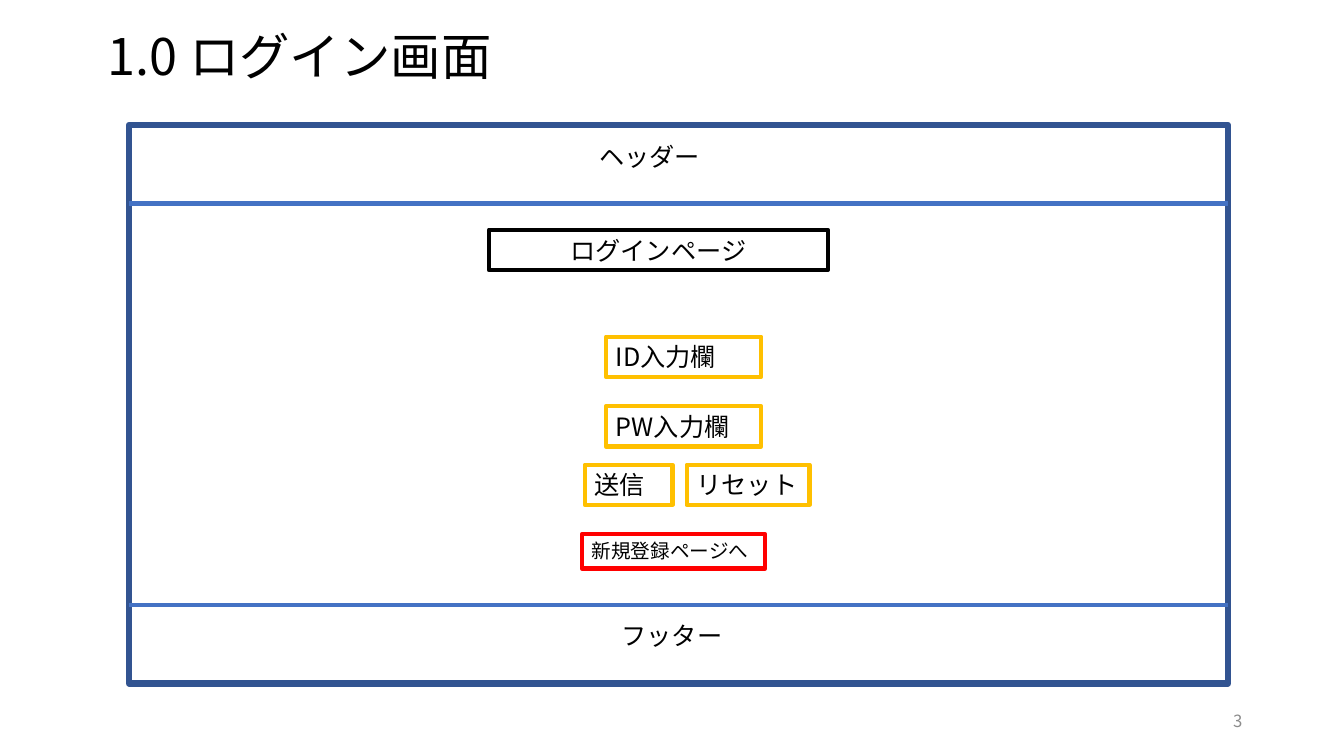
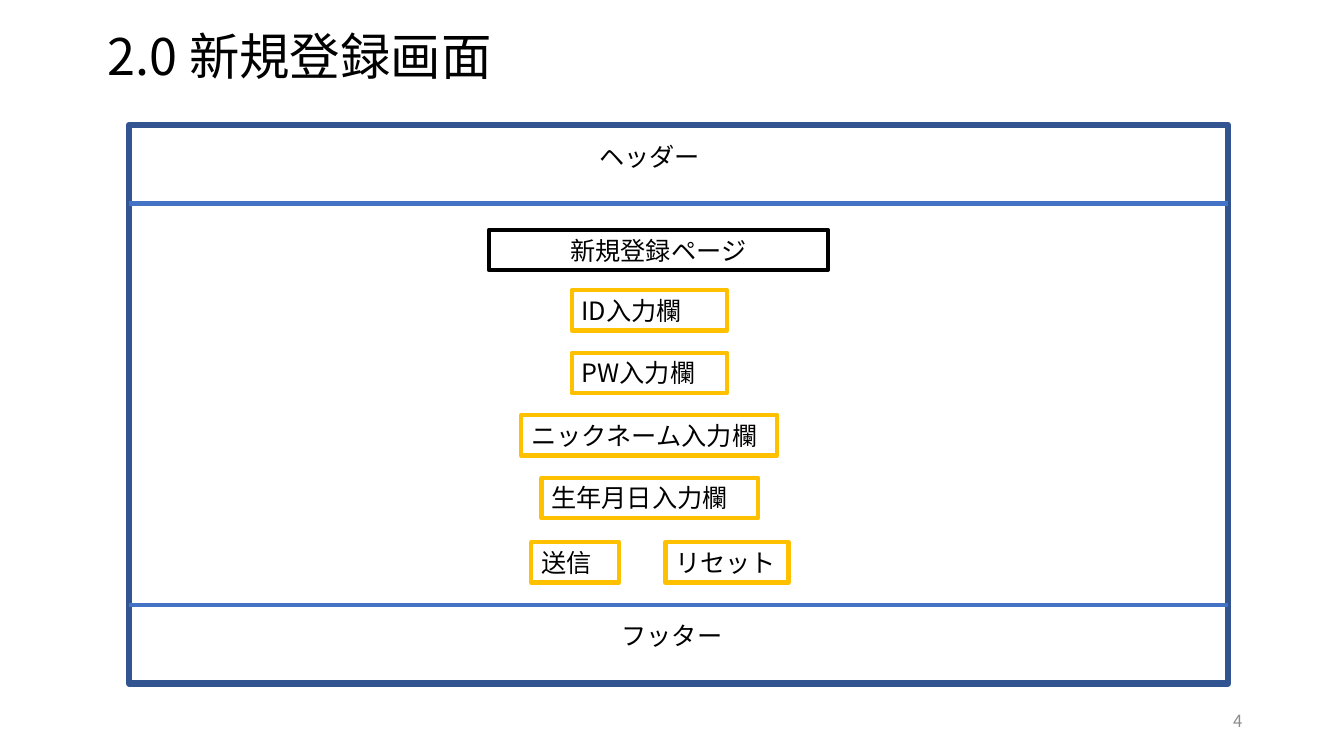
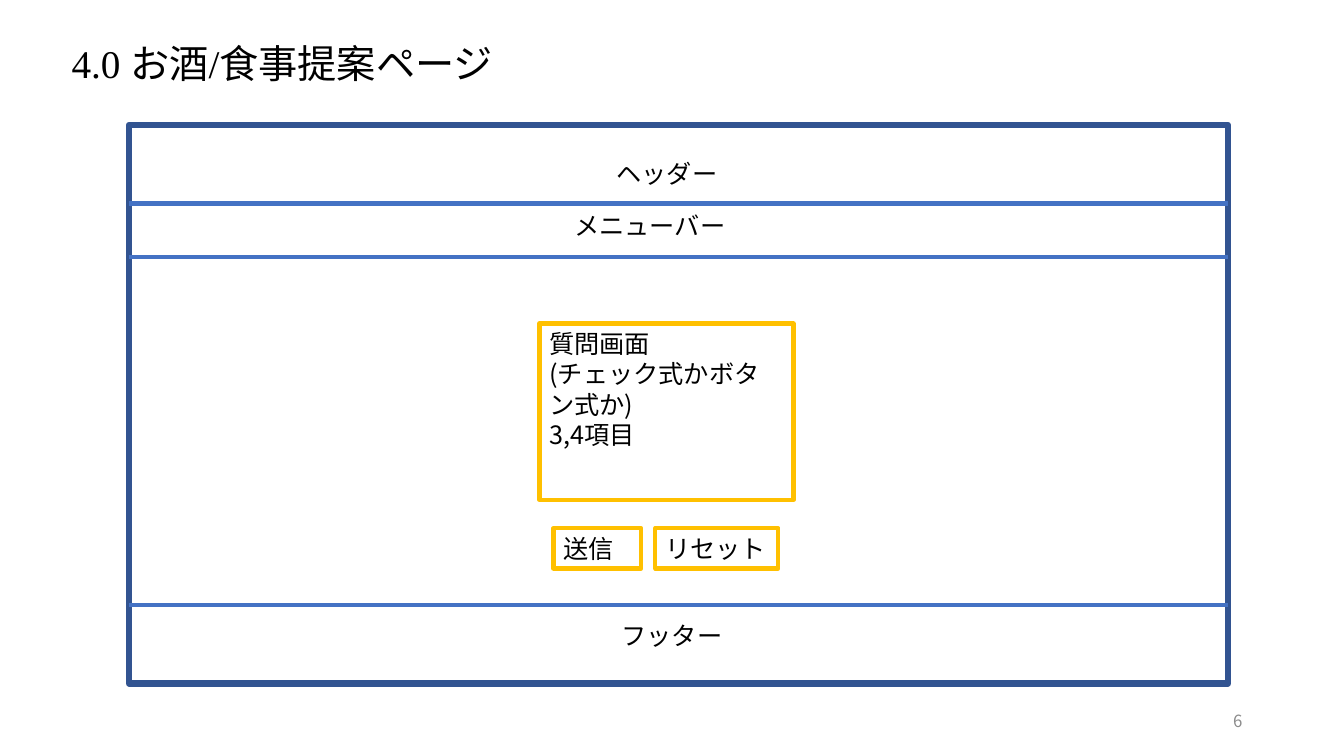
from dataclasses import dataclass

from lxml.etree import SubElement
from pptx import Presentation
from pptx.dml.color import RGBColor
from pptx.enum.shapes import MSO_CONNECTOR as Connector, MSO_SHAPE as Preset
from pptx.enum.text import MSO_ANCHOR as Anchor, PP_ALIGN as Align
from pptx.oxml.ns import qn
from pptx.util import Inches, Pt

CELL = 0.1  # inches per grid column and row


@dataclass(frozen=True)
class Theme:
    """Colours, fonts, type sizes and line widths of the deck."""
    frame: str = "325491"
    rule: str = "4472C4"
    field: str = "FFC000"
    link: str = "FF0000"
    ink: str = "000000"
    muted: str = "8C8C8C"
    font: str = "Noto Sans CJK JP"
    serif: str = "Times New Roman"
    title_size: int = 36
    small_title_size: int = 28
    body_size: int = 18
    link_size: int = 14
    number_size: int = 12
    frame_width: float = 4.5
    line_width: float = 3


THEME = Theme()


@dataclass(frozen=True)
class Box:
    """A region in grid columns and rows."""
    col: float
    row: float
    cols: float
    rows: float

    def inner(self, col, row, cols, rows):
        """Return a region placed relative to this one."""
        return Box(self.col + col, self.row + row, cols, rows)

    def lengths(self):
        """Return left, top, width and height as slide lengths."""
        return [Inches(round(cells * CELL, 2))
                for cells in (self.col, self.row, self.cols, self.rows)]


PAGE = Box(0, 0, 133.33, 75)
SCREEN = PAGE.inner(12.8, 12.4, 109, 55.4)
FIELD_ROWS = 4
HEADER_RULE, MENU_RULE, FOOTER_RULE = 7.8, 13.1, 47.6


def write(frame, text, size=THEME.body_size, color=THEME.ink, font=THEME.font,
          align=Align.LEFT, anchor=Anchor.TOP, spacing=None):
    """Fill a text frame, one paragraph per line of text."""
    frame.word_wrap = True
    frame.vertical_anchor = anchor
    frame.text = text
    for paragraph in frame.paragraphs:
        paragraph.alignment = align
        paragraph.line_spacing = spacing
        for run in paragraph.runs:
            run.font.size = Pt(size)
            run.font.name = font
            run.font.color.rgb = RGBColor.from_string(color)
            east_asian = SubElement(run.font._element, qn("a:ea"))
            east_asian.set("typeface", THEME.font)


def label(slide, box, text, **style):
    """Add an unframed text."""
    write(slide.shapes.add_textbox(*box.lengths()).text_frame, text, **style)


def outline(slide, box, color, width=THEME.line_width, text="", **style):
    """Add an unfilled rectangle with optional text."""
    rectangle = slide.shapes.add_shape(Preset.RECTANGLE, *box.lengths())
    rectangle.shadow.inherit = False
    rectangle.fill.background()
    rectangle.line.color.rgb = RGBColor.from_string(color)
    rectangle.line.width = Pt(width)
    if text:
        write(rectangle.text_frame, text, **style)


def rule(slide, box, row):
    """Draw a line across the box at the given row."""
    left, top, width, _ = box.inner(0, row, box.cols, 0).lengths()
    line = slide.shapes.add_connector(Connector.STRAIGHT, left, top, left + width, top)
    line.line.color.rgb = RGBColor.from_string(THEME.rule)
    line.line.width = Pt(THEME.line_width)
    SubElement(line._element.spPr, qn("a:effectLst"))


def band_label(slide, box, col, row, text):
    """Name one band of the screen."""
    label(slide, box.inner(col, row, 41.7, FIELD_ROWS), text, align=Align.CENTER)


def screen_slide(deck, box, title, number, title_box=PAGE.inner(9.7, 2.7, 48.2, 10.1),
                 header_at=(30.8, 1.1), **title_style):
    """Add a slide with title, page number and the shared screen frame."""
    slide = deck.slides.add_slide(deck.slide_layouts[5])
    heading = slide.shapes.title
    heading.left, heading.top, heading.width, heading.height = title_box.lengths()
    write(heading.text_frame, title, spacing=0.9,
          **{"size": THEME.title_size, **title_style})
    outline(slide, box, THEME.frame, THEME.frame_width)
    for row in (HEADER_RULE, FOOTER_RULE):
        rule(slide, box, row)
    band_label(slide, box, *header_at, "ヘッダー")
    band_label(slide, box, 33, 48.6, "フッター")
    label(slide, PAGE.inner(94.2, 69.5, 30, 4), str(number), size=THEME.number_size,
          color=THEME.muted, align=Align.RIGHT, anchor=Anchor.MIDDLE)
    return slide


def page_name(slide, box, text):
    """Add the framed name of the page below the header."""
    outline(slide, box.inner(35.7, 10.4, 33.6, FIELD_ROWS), THEME.ink, text=text,
            align=Align.CENTER, anchor=Anchor.MIDDLE)


def input_fields(slide, box, center, top, step, fields):
    """Stack input fields around a centre column at an equal step."""
    for index, (text, cols) in enumerate(fields):
        place = box.inner(center - cols / 2, top + index * step, cols, FIELD_ROWS)
        outline(slide, place, THEME.field, text=text)


def form_buttons(slide, box, col, row, gap=1.4):
    """Add the submit and reset buttons side by side."""
    for text, cols in (("送信", 8.7), ("リセット", 12.2)):
        outline(slide, box.inner(col, row, cols, FIELD_ROWS), THEME.field, text=text)
        col += cols + gap


def login_slide(deck, box):
    """Build the login screen."""
    slide = screen_slide(deck, box, "1.0 ログイン画面", 3)
    page_name(slide, box, "ログインページ")
    input_fields(slide, box, 55, 21, 6.9, [("ID入力欄", 15.4), ("PW入力欄", 15.4)])
    form_buttons(slide, box, 45.2, 33.7)
    outline(slide, box.inner(44.9, 40.6, 18.2, 3.4), THEME.link,
            text="新規登録ページへ", size=THEME.link_size)


def registration_slide(deck, box):
    """Build the registration screen."""
    slide = screen_slide(deck, box, "2.0 新規登録画面", 4)
    page_name(slide, box, "新規登録ページ")
    input_fields(slide, box, 51.6, 16.4, 6.2, [
        ("ID入力欄", 15.4), ("PW入力欄", 15.4),
        ("ニックネーム入力欄", 25.4), ("生年月日入力欄", 21.5)])
    form_buttons(slide, box, 39.9, 41.4, gap=4.6)


def suggestion_slide(deck, box):
    """Build the drink and meal suggestion screen."""
    slide = screen_slide(deck, box, "4.0 お酒/食事提案ページ", 6,
                         title_box=PAGE.inner(6.1, 3.9, 47.4, 8.8),
                         header_at=(32.5, 2.8),
                         size=THEME.small_title_size, font=THEME.serif)
    rule(slide, box, MENU_RULE)
    band_label(slide, box, 30.8, 8, "メニューバー")
    outline(slide, box.inner(40.7, 19.7, 25.2, 17.5), THEME.field,
            text="質問画面\n(チェック式かボタン式か)\n3,4項目")
    form_buttons(slide, box, 42.1, 40)


def main():
    """Build and save the deck."""
    deck = Presentation()
    deck.slide_width, deck.slide_height = PAGE.lengths()[2:]
    for build in (login_slide, registration_slide, suggestion_slide):
        build(deck, SCREEN)
    deck.save("out.pptx")


main()
